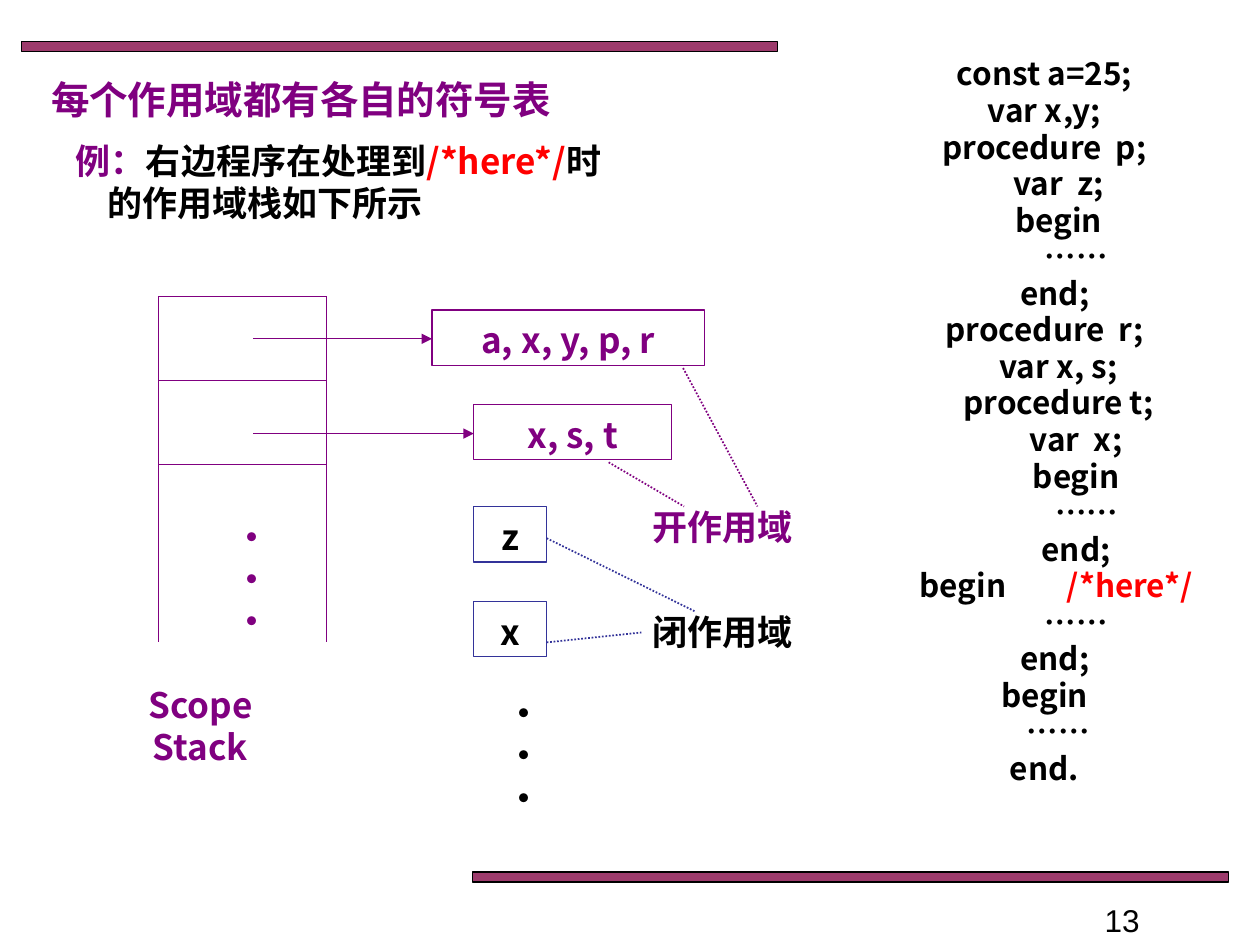
from dataclasses import dataclass

from lxml import etree
from pptx import Presentation
from pptx.dml.color import RGBColor
from pptx.enum.dml import MSO_LINE
from pptx.enum.shapes import MSO_CONNECTOR, MSO_SHAPE
from pptx.enum.text import MSO_ANCHOR, PP_ALIGN
from pptx.oxml.ns import qn
from pptx.util import Cm, Pt

LEFT, CENTER = PP_ALIGN.LEFT, PP_ALIGN.CENTER
TOP = MSO_ANCHOR.TOP
RECTANGLE = MSO_SHAPE.RECTANGLE
STRAIGHT = MSO_CONNECTOR.STRAIGHT
DOTTED = MSO_LINE.ROUND_DOT


@dataclass(frozen=True)
class Theme:
    font: str = "Noto Sans CJK SC"
    number_font: str = "Arial"
    purple: str = "800080"
    blue: str = "333399"
    red: str = "FF0000"
    black: str = "000000"
    bar: str = "993366"
    title_size: float = 22
    body_size: float = 20
    code_size: float = 18
    leading: float = 1.2
    thin: float = 0.75
    dotted: float = 1


THEME = Theme()


def apply(target, values):
    for name, value in values.items():
        setattr(target, name, value)


class SlideBuilder:
    def __init__(self, slide, theme):
        self.shapes = slide.shapes
        self.theme = theme

    def style_line(self, line, color, width):
        line.color.rgb = RGBColor.from_string(color)
        line.width = Pt(width)

    def bar(self, left, top):
        bar = self.shapes.add_shape(RECTANGLE, Cm(left), Cm(top), Cm(15.24), Cm(0.2))
        bar.shadow.inherit = False
        bar.fill.solid()
        bar.fill.fore_color.rgb = RGBColor.from_string(self.theme.bar)
        color = bar._element.spPr.find(qn("a:solidFill"))[0]
        etree.SubElement(color, qn("a:alpha")).set("val", "96000")
        self.style_line(bar.line, self.theme.black, self.theme.thin)

    def prepare(self, frame, wrap=True):
        apply(frame, {"word_wrap": wrap, "vertical_anchor": TOP,
                      "margin_left": Cm(0.25), "margin_right": Cm(0.25),
                      "margin_top": Cm(0.18), "margin_bottom": Cm(0.13)})

    def fill_paragraph(self, paragraph, runs, size, align=LEFT, indent=0,
                       leading=None, before=0, font=None):
        """Fill a paragraph with (text, colour) runs; indent is in cm."""
        apply(paragraph, {"alignment": align, "space_before": Pt(before),
                          "line_spacing": Pt(leading or size * self.theme.leading)})
        paragraph._p.get_or_add_pPr().set("marL", str(Cm(indent)))
        font = font or self.theme.font
        for text, color in runs:
            run = paragraph.add_run()
            run.text = text
            apply(run.font, {"name": font, "size": Pt(size),
                             "bold": font == self.theme.font})
            run.font.color.rgb = RGBColor.from_string(color)
            east_asian = etree.SubElement(run._r.get_or_add_rPr(), qn("a:ea"))
            east_asian.set("typeface", font)

    def text_frame(self, left, top, width, height, wrap=True):
        box = self.shapes.add_textbox(Cm(left), Cm(top), Cm(width), Cm(height))
        self.prepare(box.text_frame, wrap)
        return box.text_frame

    def label(self, text, color, place, size=None, wrap=True, **style):
        frame = self.text_frame(*place, wrap=wrap)
        self.fill_paragraph(frame.paragraphs[0], [(text, color)],
                            size or self.theme.body_size, **style)

    def paragraphs(self, place, lines, size, **style):
        """Add (runs, indent) lines that share a common style."""
        frame = self.text_frame(*place)
        for index, (runs, indent) in enumerate(lines):
            paragraph = frame.add_paragraph() if index else frame.paragraphs[0]
            self.fill_paragraph(paragraph, runs, size, indent=indent, **style)
        return frame

    def scope(self, names, color, outline, left, top, width):
        box = self.shapes.add_shape(RECTANGLE, Cm(left), Cm(top), Cm(width), Cm(1.12))
        box.shadow.inherit = False
        box.fill.background()
        self.style_line(box.line, outline, self.theme.thin)
        self.prepare(box.text_frame)
        self.fill_paragraph(box.text_frame.paragraphs[0], [(names, color)],
                            self.theme.body_size, align=CENTER)

    def line(self, x1, y1, x2, y2, color, dotted=False, arrow=False):
        link = self.shapes.add_connector(STRAIGHT, Cm(x1), Cm(y1), Cm(x2), Cm(y2))
        self.style_line(link.line, color,
                        self.theme.dotted if dotted else self.theme.thin)
        if dotted:
            link.line.dash_style = DOTTED
        properties = link._element.spPr
        if arrow:
            head = etree.SubElement(properties.find(qn("a:ln")), qn("a:tailEnd"))
            head.set("type", "triangle")
        etree.SubElement(properties, qn("a:effectLst"))


SPACE = 0.142  # one indent step of the program, in cm
PROGRAM = [
    (0, "const a=25;"), (0, "var x,y;"), (0, "procedure  p;"), (4, "var  z;"),
    (4, "begin"), (9, "……"), (3, "end;"), (0, "procedure  r;"),
    (4, "var x, s;"), (4, "procedure t;"), (9, "var  x;"), (9, "begin"),
    (12, "……"), (9, "end;"), (0, "begin\t/*here*/"), (9, "……"),
    (3, "end;"), (0, "begin"), (4, "……"), (0, "end."),
]


def add_program(builder):
    theme = builder.theme
    lines = []
    for steps, code in PROGRAM:
        statement, tab, marker = code.partition("\t")
        runs = [(statement + tab, theme.black)]
        if marker:
            runs.append((marker, theme.red))
        lines.append((runs, steps * SPACE))
    frame = builder.paragraphs((17.45, 1.07, 7.21, 16.1), lines, theme.code_size,
                               align=CENTER, leading=17.28, before=3.6)
    for paragraph in frame.paragraphs:
        if "\t" in paragraph.text:
            paragraph.alignment = LEFT
            properties = paragraph._p.get_or_add_pPr()
            properties.set("indent", str(Cm(0.84)))
            stops = etree.SubElement(properties, qn("a:tabLst"))
            stop = etree.SubElement(stops, qn("a:tab"))
            stop.set("pos", str(Cm(3.91)))
            stop.set("algn", "l")


def add_heading(builder):
    theme = builder.theme
    example = [
        ([("例：", theme.purple), ("右边程序在处理到", theme.black),
          ("/*here*/", theme.red), ("时", theme.black)], 0.64),
        ([("的作用域栈如下所示", theme.black)], 1.27),
    ]
    builder.paragraphs((0.64, 2.64, 14.63, 1.96), example, theme.body_size)
    builder.label("每个作用域都有各自的符号表", theme.purple,
                  (0.61, 1.35, 14.83, 1.19), theme.title_size, indent=0.17)


def add_scope_stack(builder):
    purple = builder.theme.purple
    left, right, top, bottom, row = 3.2, 6.58, 5.97, 12.95, 1.7
    for x in (left, right):
        builder.line(x, top, x, bottom, purple)
    for index in range(3):
        y = top + index * row
        builder.line(left, y, right, y, purple)
    builder.label("•••", purple, (4.47, 10.21, 0.64, 2.82), align=CENTER)
    builder.label("Scope Stack", purple, (2.54, 13.59, 3, 2.4), align=CENTER)


def add_scopes(builder):
    purple, blue, black = builder.theme.purple, builder.theme.blue, builder.theme.black
    for names, color, outline, left, top, width in [
        ("a, x, y, p, r", purple, purple, 8.71, 6.25, 5.49),
        ("x, s, t", purple, purple, 9.55, 8.15, 3.99),
        ("z", black, blue, 9.55, 10.21, 1.47),
        ("x", black, blue, 9.55, 12.12, 1.47),
    ]:
        builder.scope(names, color, outline, left, top, width)
    builder.label("•••", black, (9.96, 13.77, 0.64, 2.82), align=CENTER)
    for kind, color, top in [("开作用域", purple, 10.01), ("闭作用域", black, 12.12)]:
        builder.label(kind, color, (12.88, top, 3.38, 1.12), wrap=False, align=CENTER)
    for y, scope_left in [(6.83, 8.71), (8.74, 9.55)]:
        builder.line(5.11, y, scope_left, y, purple, arrow=True)
    for ends, color in [
        ((13.77, 7.42, 15.27, 10.21), purple), ((12.27, 9.32, 13.79, 10.21), purple),
        ((11.02, 10.85, 14, 12.32), blue), ((11.02, 12.95, 12.93, 12.75), blue),
    ]:
        builder.line(*ends, color, dotted=True)


def main():
    deck = Presentation()
    apply(deck, {"slide_width": Cm(25.4), "slide_height": Cm(19.05)})
    builder = SlideBuilder(deck.slides.add_slide(deck.slide_layouts[6]), THEME)
    builder.bar(0.43, 0.84)
    builder.bar(9.53, 17.58)
    add_program(builder)
    add_heading(builder)
    add_scope_stack(builder)
    add_scopes(builder)
    builder.label("13", THEME.black, (22.02, 17.98, 3.38, 0.69),
                  THEME.code_size, font=THEME.number_font)
    deck.save("out.pptx")


if __name__ == "__main__":
    main()
